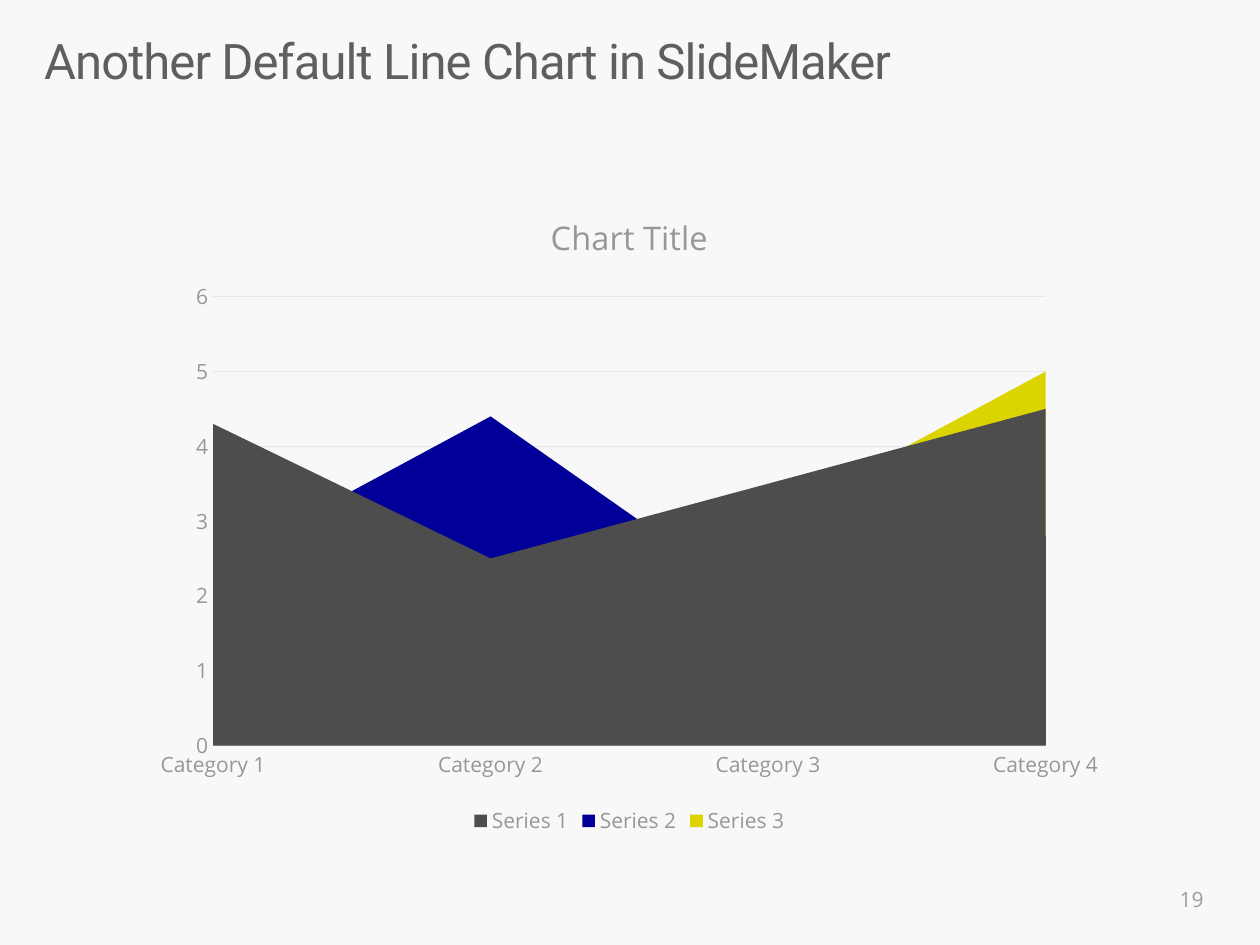
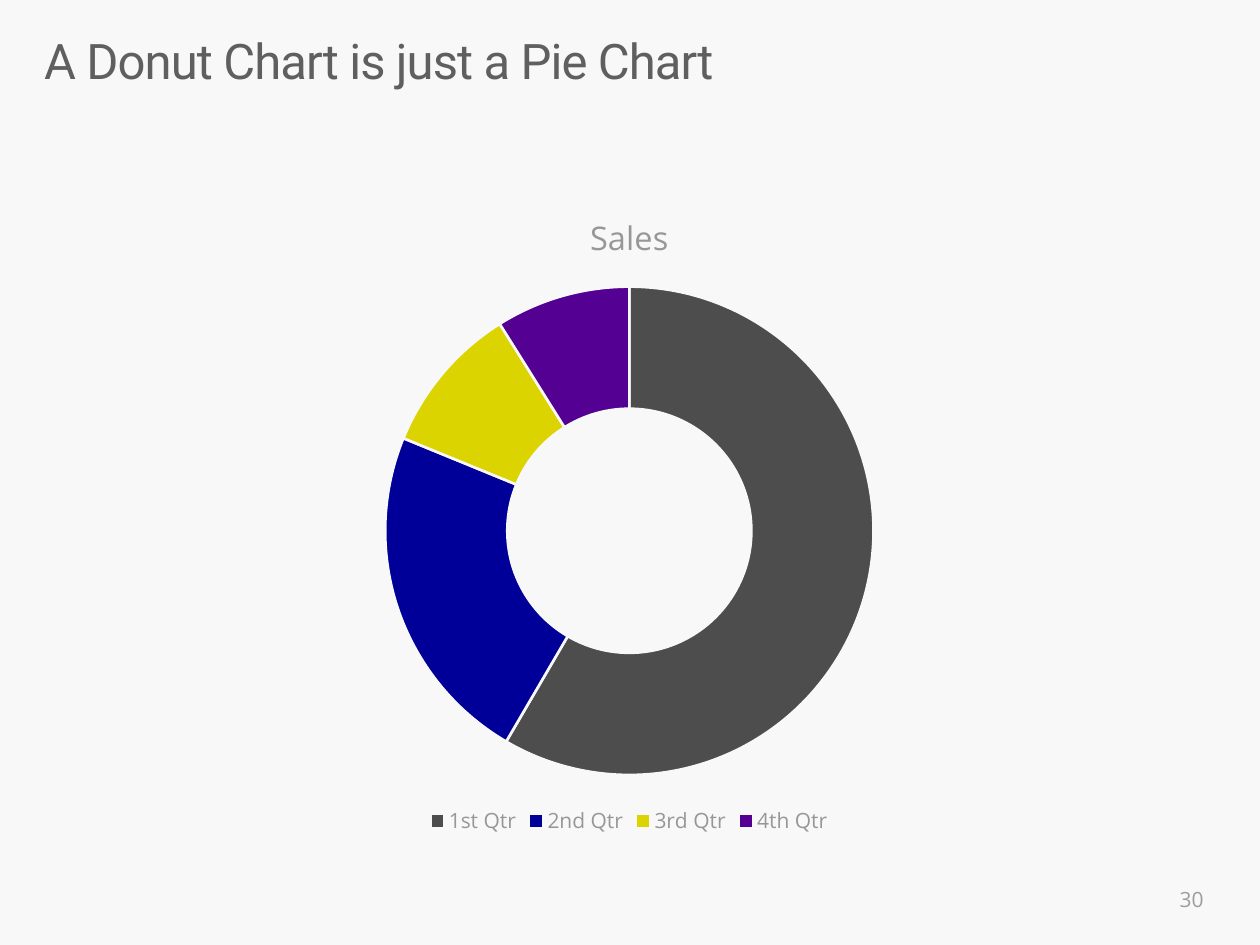
from pptx import Presentation
from pptx.chart.data import CategoryChartData
from pptx.dml.color import RGBColor
from pptx.enum.chart import XL_CHART_TYPE, XL_LEGEND_POSITION, XL_TICK_MARK
from pptx.enum.text import MSO_ANCHOR, MSO_AUTO_SIZE, PP_ALIGN
from pptx.util import Inches, Pt

AREA = XL_CHART_TYPE.AREA
DOUGHNUT = XL_CHART_TYPE.DOUGHNUT
BOTTOM = XL_LEGEND_POSITION.BOTTOM
NO_TICKS = XL_TICK_MARK.NONE
TOP, MIDDLE = MSO_ANCHOR.TOP, MSO_ANCHOR.MIDDLE
LEFT, RIGHT = PP_ALIGN.LEFT, PP_ALIGN.RIGHT
NO_FIT = MSO_AUTO_SIZE.NONE

COLORS = {
    "background": "F8F8F8",
    "title": "5F5F5F",
    "number": "9D9D9D",
    "label": "979797",
    "grid": "E7E7E7",
}
SERIES_COLORS = ["4D4D4D", "000099", "DBD400", "530093"]
TITLE_FONT, BODY_FONT = "Roboto", "Open Sans"

WIDTH, HEIGHT = Inches(10), Inches(7.5)
TITLE_BOX = [Inches(value) for value in (0.35, 0.31, 9.29, 0.89)]
NUMBER_BOX = [Inches(value) for value in (7.4, 6.94, 2.25, 0.4)]
CHART_BOX = [Inches(value) for value in (1.12, 1.47, 7.75, 5.2)]

SLIDES = [
    {
        "title": "Another Default Line Chart in SlideMaker",
        "number": "19",
        "type": AREA,
        "chart_title": "Chart Title",
        "categories": ["Category 1", "Category 2", "Category 3", "Category 4"],
        "series": {
            "Series 1": [4.3, 2.5, 3.5, 4.5],
            "Series 2": [2.4, 4.4, 1.8, 2.8],
            "Series 3": [2, 2, 3, 5],
        },
    },
    {
        "title": "A Donut Chart is just a Pie Chart",
        "number": "30",
        "type": DOUGHNUT,
        "chart_title": "Sales",
        "categories": ["1st Qtr", "2nd Qtr", "3rd Qtr", "4th Qtr"],
        "series": {"Sales": [59, 23, 10, 9]},
    },
]


def style_font(font, name, size, color):
    font.name = name
    font.size = Pt(size)
    font.bold = False
    font.color.rgb = RGBColor.from_string(COLORS[color])


def paint(format_part, color):
    format_part.fill.solid()
    format_part.fill.fore_color.rgb = RGBColor.from_string(color)


presentation = Presentation()
presentation.slide_width, presentation.slide_height = WIDTH, HEIGHT
paint(presentation.slide_master.background, COLORS["background"])
title_layout = presentation.slide_layouts.get_by_name("Title Only")

for content in SLIDES:
    slide = presentation.slides.add_slide(title_layout)

    title = slide.shapes.title
    title.left, title.top, title.width, title.height = TITLE_BOX
    frame = title.text_frame
    frame.margin_left = frame.margin_top = frame.margin_right = frame.margin_bottom = 0
    frame.vertical_anchor = TOP
    frame.auto_size = NO_FIT
    paragraph = frame.paragraphs[0]
    paragraph.alignment = LEFT
    paragraph.line_spacing = 0.86
    run = paragraph.add_run()
    run.text = content["title"]
    style_font(run.font, TITLE_FONT, 28, "title")
    run.font._element.set("spc", "-50")

    frame = slide.shapes.add_textbox(*NUMBER_BOX).text_frame
    frame.word_wrap = True
    frame.vertical_anchor = MIDDLE
    paragraph = frame.paragraphs[0]
    paragraph.alignment = RIGHT
    run = paragraph.add_run()
    run.text = content["number"]
    style_font(run.font, BODY_FONT, 12, "number")

    chart_data = CategoryChartData()
    chart_data.categories = content["categories"]
    for name, values in content["series"].items():
        chart_data.add_series(name, values)
    chart = slide.shapes.add_chart(content["type"], *CHART_BOX, chart_data).chart
    style_font(chart.font, BODY_FONT, 10, "title")

    chart.has_title = True
    run = chart.chart_title.text_frame.paragraphs[0].add_run()
    run.text = content["chart_title"]
    style_font(run.font, BODY_FONT, 18.6, "label")
    chart.chart_title.include_in_layout = False

    chart.has_legend = True
    chart.legend.position = BOTTOM
    chart.legend.include_in_layout = False
    style_font(chart.legend.font, BODY_FONT, 12, "label")

    plot = chart.plots[0]
    if content["type"] == DOUGHNUT:
        plot.vary_by_categories = True
        for index, color in enumerate(SERIES_COLORS):
            point_format = plot.series[0].points[index].format
            paint(point_format, color)
            point_format.line.color.rgb = RGBColor.from_string(COLORS["background"])
            point_format.line.width = Pt(1.5)
    else:
        plot.vary_by_categories = False
        for series, color in zip(plot.series, SERIES_COLORS):
            paint(series.format, color)
            series.format.line.fill.background()
        for axis in (chart.category_axis, chart.value_axis):
            axis.major_tick_mark = axis.minor_tick_mark = NO_TICKS
            style_font(axis.tick_labels.font, BODY_FONT, 12, "label")
        chart.category_axis.has_major_gridlines = False
        chart.value_axis.has_major_gridlines = True
        chart.value_axis.format.line.fill.background()
        gridlines = chart.value_axis.major_gridlines
        for line in (chart.category_axis.format.line, gridlines.format.line):
            line.color.rgb = RGBColor.from_string(COLORS["grid"])
            line.width = Pt(0.75)

presentation.save("out.pptx")
